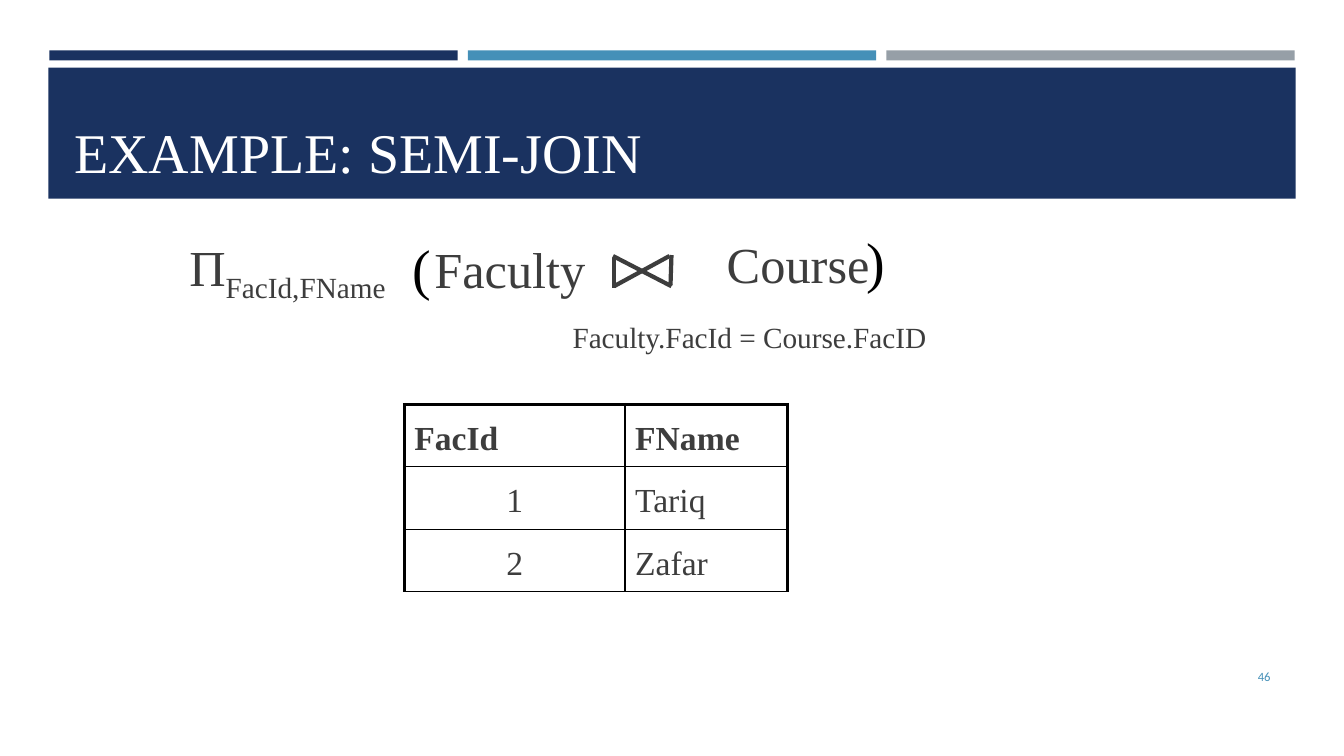
import pptx
import pptx.util
import pptx.dml.color
import pptx.enum.shapes
import pptx.enum.text
import pptx.oxml
import pptx.oxml.ns

Inches = pptx.util.Inches
Align = pptx.enum.text.PP_ALIGN
Anchor = pptx.enum.text.MSO_ANCHOR
NAVY, BLUE, GRAY = "1A3260", "4590B8", "969FA7"
INK, BLACK, WHITE = "3D3D3D", "000000", "FFFFFF"


def color(code):
    return pptx.dml.color.RGBColor.from_string(code)


def write(par, text, size=36, ink=INK, font="Times New Roman", bold=False, sub=False):
    run = par.add_run()
    run.text = text
    run.font.size = pptx.util.Pt(size)
    run.font.name = font
    run.font.bold = bold
    run.font.color.rgb = color(ink)
    if sub:
        run._r.get_or_add_rPr().set("baseline", "-25000")


class Deck:
    def __init__(self):
        self.file = pptx.Presentation()
        self.file.slide_width = Inches(13.33)
        self.file.slide_height = Inches(7.5)
        self.slide = self.file.slides.add_slide(self.file.slide_layouts[6])
        self.shapes = self.slide.shapes

    def bar(self, x, y, w, h, fill):
        kind = pptx.enum.shapes.MSO_SHAPE.RECTANGLE
        bar = self.shapes.add_shape(kind, Inches(x), Inches(y), Inches(w), Inches(h))
        bar.shadow.inherit = False
        bar.fill.solid()
        bar.fill.fore_color.rgb = color(fill)
        bar.line.fill.background()

    def text(self, x, y, w, h, text, align=Align.LEFT, anchor=Anchor.TOP, **style):
        box = self.shapes.add_textbox(Inches(x), Inches(y), Inches(w), Inches(h))
        frame = box.text_frame
        frame.word_wrap = True
        frame.vertical_anchor = anchor
        par = frame.paragraphs[0]
        par.alignment = align
        write(par, text, **style)
        return par

    def line(self, x1, y1, x2, y2):
        kind = pptx.enum.shapes.MSO_CONNECTOR.STRAIGHT
        line = self.shapes.add_connector(kind, Inches(x1), Inches(y1), Inches(x2), Inches(y2))
        line.line.color.rgb = color(INK)
        line.line.width = pptx.util.Pt(3)
        pptx.oxml.ns.qn("a:effectLst")
        line._element.spPr.append(pptx.oxml.parse_xml(
            f'<a:effectLst {pptx.oxml.ns.nsdecls("a")}/>'))

    def edge(self, cell, sides):
        props = cell._tc.get_or_add_tcPr()
        for spot, (side, width) in enumerate(sides.items()):
            props.insert(spot, pptx.oxml.parse_xml(
                f'<a:ln{side} {pptx.oxml.ns.nsdecls("a")} w="{int(width * 12700)}">'
                f'<a:solidFill><a:srgbClr val="{BLACK}"/></a:solidFill></a:ln{side}>'))

    def table(self, x, y, widths, height, rows):
        last = len(widths) - 1
        frame = self.shapes.add_table(len(rows), len(widths), Inches(x), Inches(y),
                                      Inches(sum(widths)), Inches(height * len(rows)))
        grid = frame.table
        for col, width in zip(grid.columns, widths):
            col.width = Inches(width)
        for r, row in enumerate(rows):
            grid.rows[r].height = Inches(height)
            for c, text in enumerate(row):
                cell = grid.cell(r, c)
                cell.fill.solid()
                cell.fill.fore_color.rgb = color(WHITE)
                par = cell.text_frame.paragraphs[0]
                par.line_spacing = 1.3
                par.alignment = Align.CENTER if r and c == 0 else Align.LEFT
                write(par, text, size=24, bold=r == 0)
                self.edge(cell, {"L": 1 if c else 2.25, "R": 2.25 if c == last else 1,
                                 "T": 1 if r else 2.25, "B": 1})


def main():
    deck = Deck()

    # Top bars and title band
    for i, fill in enumerate((NAVY, BLUE, GRAY)):
        deck.bar(0.49 + 4.15 * i, 0.5, 4.05, 0.1, fill)
    deck.bar(0.48, 0.67, 12.37, 1.3, NAVY)
    deck.text(0.64, 0.77, 12.06, 1.11, "EXAMPLE: SEMI-JOIN",
              anchor=Anchor.BOTTOM, size=40, ink=WHITE)

    # Result table
    deck.table(4.01, 4.01, (2.19, 1.61), 0.57,
               (("FacId", "FName"), ("1", "Tariq"), ("2", "Zafar")))

    # Join sign
    for ends in ((6.08, 2.54, 6.66, 2.84), (6.09, 2.84, 6.64, 2.54),
                 (6.09, 2.56, 6.09, 2.86), (6.66, 2.53, 6.65, 2.83)):
        deck.line(*ends)

    # Formula
    deck.text(4.21, 2.31, 1.73, 0.71, "Faculty")
    deck.text(7.11, 2.26, 1.7, 0.71, "Course")
    deck.text(5.58, 2.78, 4.28, 0.51, "Faculty.FacId = Course.FacID", sub=True)
    deck.text(3.99, 2.27, 0.55, 0.77, "(", size=40, ink=BLACK)
    deck.text(8.5, 2.2, 0.55, 0.77, ")", size=40, ink=BLACK)
    par = deck.text(1.78, 2.29, 2.54, 0.71, "Π")
    write(par, "FacId,FName", sub=True)

    # Slide number
    deck.text(11.55, 6.51, 1.15, 0.4, "46", align=Align.RIGHT, anchor=Anchor.MIDDLE,
              size=9, ink=BLUE, font="Calibri")

    deck.file.save("out.pptx")


if __name__ == "__main__":
    main()
